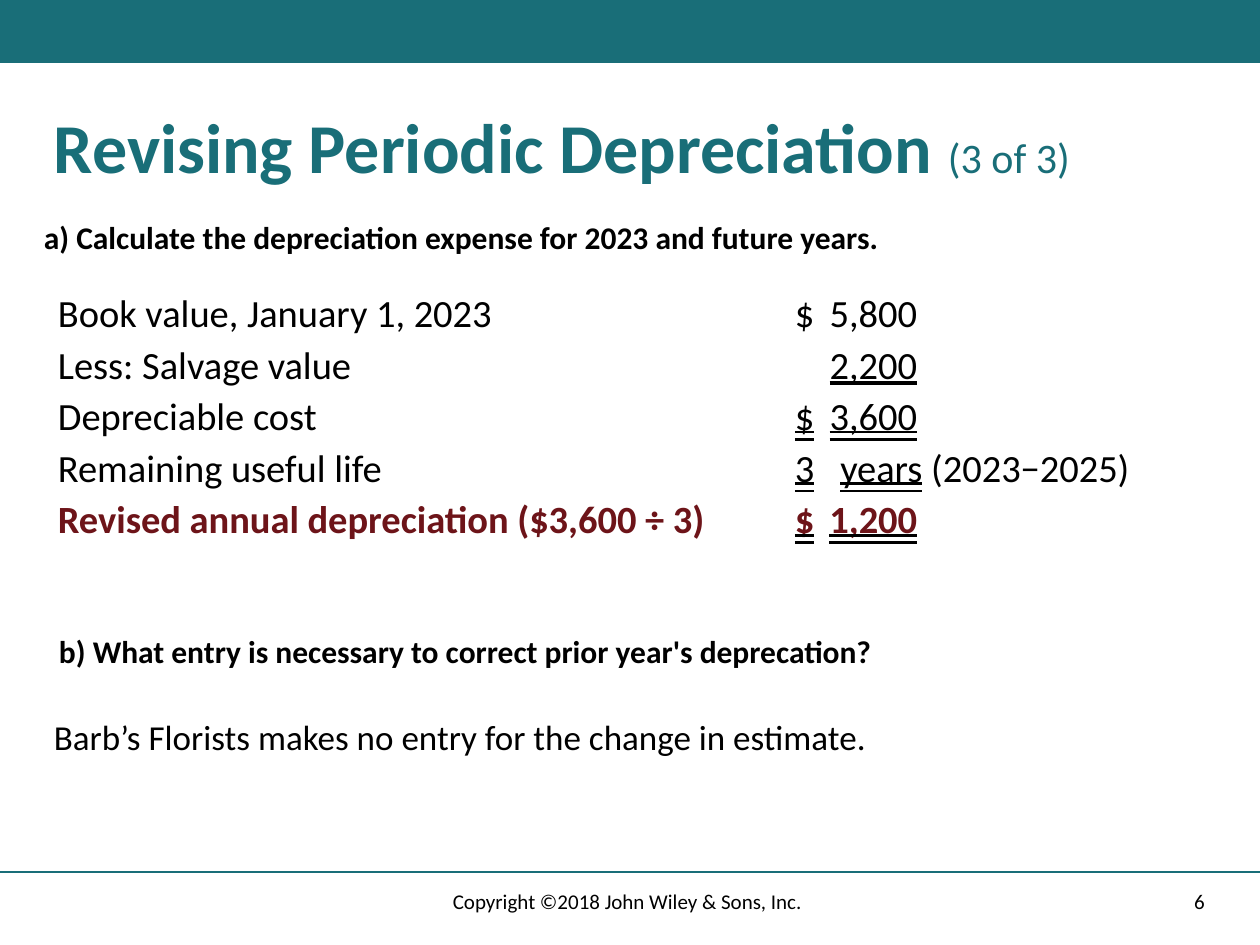
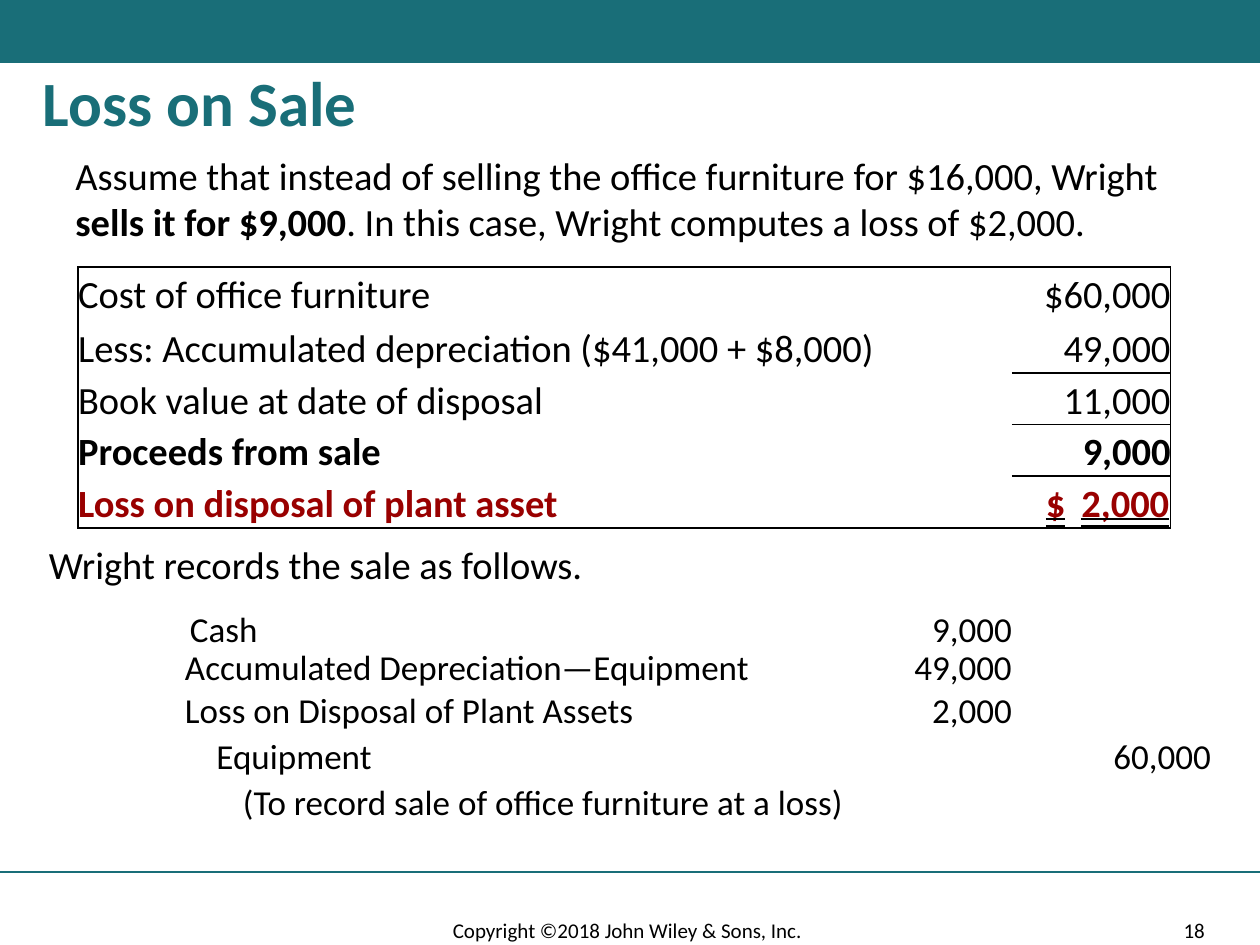
from lxml import etree
from pptx import Presentation
from pptx import util as u
from pptx.dml.color import RGBColor
from pptx.enum import shapes, text
from pptx.oxml import ns

Inches, Pt = u.Inches, u.Pt
LEFT, CENTER, RIGHT = text.PP_ALIGN.LEFT, text.PP_ALIGN.CENTER, text.PP_ALIGN.RIGHT
TOP, MIDDLE = text.MSO_ANCHOR.TOP, text.MSO_ANCHOR.MIDDLE
SINGLE, DOUBLE = text.MSO_UNDERLINE.SINGLE_LINE, text.MSO_UNDERLINE.DOUBLE_LINE

# ---- Shared look ----
COLORS = {"teal": "196E78", "black": "000000", "wine": "6D1419", "red": "990000"}
FONT = "Calibri"
COPYRIGHT = "Copyright ©2018 John Wiley & Sons, Inc."
NO_STYLE = "{2D5ABB26-0587-4C30-8999-92F81FD0307C}"
WINE = {"color": "wine", "bold": True}
RED = {"color": "red", "bold": True}
BOLD = {"bold": True}

# ---- Content: revised depreciation ----
REVISING_TITLE = [("Revising Periodic Depreciation ", BOLD), ("(3 of 3)", {"size": 24})]
QUESTIONS = [
    ("a) Calculate the depreciation expense for 2023 and future years.", 0.25, 1.68),
    ("b) What entry is necessary to correct prior year's deprecation?", 0.37, 4.97),
]
NO_ENTRY = "Barb’s Florists makes no entry for the change in estimate."
MONEY_TABS = [(0.97, "r")]
LIFE_TABS = [(0.07, "l"), (0.43, "l")]
# label, label style, amount runs, amount indent, tab stops
DEPRECIATION = [
    ("Book value, January 1, 2023", {}, [("$\t5,800", {})], 0.63, MONEY_TABS),
    ("Less: Salvage value", {}, [("\t2,200", {"line": SINGLE})], 0.63, MONEY_TABS),
    ("Depreciable cost", {}, [("$\t3,600", {"line": DOUBLE})], 0.63, MONEY_TABS),
    ("Remaining useful life", {},
     [("\t3\tyears", {"line": DOUBLE}), (" (2023−2025)", {})], 0.56, LIFE_TABS),
    ("Revised annual depreciation ($3,600 ÷ 3)", WINE,
     [("$\t1,200", {**WINE, "line": DOUBLE})], 0.63, MONEY_TABS),
]

# ---- Content: loss on sale ----
LOSS_TITLE = [("Loss on Sale", BOLD)]
ASSUMPTION = [
    ("Assume that instead of selling the office furniture for $16,000, Wright ", {}),
    ("sells it for $9,000", BOLD),
    (". In this case, Wright computes a loss of $2,000.", {}),
]
# label, amount, style
DISPOSAL = [
    ("Cost of office furniture", "$60,000", {}),
    ("Less: Accumulated depreciation ($41,000 + $8,000)", "49,000", {}),
    ("Book value at date of disposal", "11,000", {}),
    ("Proceeds from sale", "9,000", BOLD),
    ("Loss on disposal of plant asset", "\t$\t2,000", RED),
]
LOSS_TABS = [(0.21, "l"), (1.19, "r")]
RECORDS = "Wright records the sale as follows."
DEBIT_EDGE, CREDIT_EDGE = 8.13, 9.71
# account, left, top, amount, right edge of the amount
JOURNAL = [
    ("Cash", 1.41, 4.81, "9,000", DEBIT_EDGE),
    ("Accumulated Depreciation—Equipment", 1.37, 5.11, "49,000", DEBIT_EDGE),
    ("Loss on Disposal of Plant Assets", 1.37, 5.45, "2,000", DEBIT_EDGE),
    ("Equipment", 1.62, 5.82, "60,000", CREDIT_EDGE),
    ("(To record sale of office furniture at a loss)", 1.83, 6.18, None, None),
]


# ---- Text ----
def rgb(name):
    return RGBColor.from_string(COLORS[name])


def add_solid(parent, name):
    fill = etree.SubElement(parent, ns.qn("a:solidFill"))
    etree.SubElement(fill, ns.qn("a:srgbClr"), val=COLORS[name])


def write(para, runs, size, color="black", align=LEFT, tabs=()):
    para.alignment = align
    if tabs:
        stops = etree.SubElement(para._p.get_or_add_pPr(), ns.qn("a:tabLst"))
        for position, side in tabs:
            etree.SubElement(stops, ns.qn("a:tab"), pos=str(Inches(position)), algn=side)
    for words, style in runs:
        span = para.add_run()
        span.text = words
        font = span.font
        font.name = FONT
        font.size = Pt(style.get("size", size))
        font.bold = style.get("bold", False)
        font.color.rgb = rgb(style.get("color", color))
        if "line" in style:
            font.underline = style["line"]
            # Rules under the figures stay black
            line_fill = etree.Element(ns.qn("a:uFill"))
            add_solid(line_fill, "black")
            span._r.rPr.find(ns.qn("a:latin")).addprevious(line_fill)


def add_text(page, area, runs, size, color="black", align=LEFT, anchor=TOP, spacing=None):
    box = page.shapes.add_textbox(*map(Inches, area))
    frame = box.text_frame
    frame.word_wrap = True
    frame.vertical_anchor = anchor
    para = frame.paragraphs[0]
    if spacing:
        para.line_spacing = spacing
    write(para, runs, size, color, align)


def add_body(page, area, words, size=20, align=LEFT):
    add_text(page, area, [(words, {})], size, align=align, spacing=0.9)


# ---- Tables ----
def add_grid(page, left, top, widths, heights):
    frame = page.shapes.add_table(len(heights), len(widths), Inches(left), Inches(top),
                                  Inches(sum(widths)), Inches(sum(heights)))
    table = frame.table
    table.first_row = table.horz_banding = False
    table._tbl.tblPr.find(ns.qn("a:tableStyleId")).text = NO_STYLE
    for column, width in zip(table.columns, widths):
        column.width = Inches(width)
    for row, height in zip(table.rows, heights):
        row.height = Inches(height)
    return table


def fill_cell(cell, runs, align=LEFT, indent=0, right=0, tabs=(), sides=""):
    cell.margin_left, cell.margin_right = Inches(indent), Inches(right)
    cell.margin_top = cell.margin_bottom = 0
    cell.vertical_anchor = text.MSO_ANCHOR.BOTTOM
    write(cell.text_frame.paragraphs[0], runs, 22, align=align, tabs=tabs)
    properties = cell._tc.get_or_add_tcPr()
    for side in "LRTB":
        if side in sides:
            border = etree.SubElement(properties, ns.qn("a:ln" + side), w=str(Pt(1)))
            add_solid(border, "black")
    cell.fill.background()


# ---- Parts on every slide ----
def add_page(deck, title, title_area, title_size, number, footer_top):
    page = deck.slides.add_slide(deck.slide_layouts[6])
    band = page.shapes.add_shape(shapes.MSO_SHAPE.RECTANGLE, 0, 0, deck.slide_width, Inches(0.5))
    band.shadow.inherit = False
    band.fill.solid()
    band.fill.fore_color.rgb = rgb("teal")
    band.line.fill.background()
    rule = page.shapes.add_connector(shapes.MSO_CONNECTOR.STRAIGHT, 0, Inches(6.92),
                                     deck.slide_width, Inches(6.92))
    rule.line.color.rgb = rgb("teal")
    rule.line.width = Pt(1)
    etree.SubElement(rule._element.spPr, ns.qn("a:effectLst"))
    add_text(page, title_area, title, title_size, "teal", anchor=MIDDLE, spacing=0.9)
    add_text(page, (3.28, footer_top, 3.4, 0.4), [(COPYRIGHT, {})], 12,
             align=CENTER, anchor=MIDDLE)
    add_text(page, (7.05, footer_top, 2.61, 0.4), [(number, {})], 12,
             align=RIGHT, anchor=MIDDLE)
    return page


# ---- Slides ----
def build_revising(deck):
    page = add_page(deck, REVISING_TITLE, (0.33, 0.83, 9.33, 0.73), 40, "6", 6.95)
    table = add_grid(page, 0.46, 1.83, [5.22, 3.48], [0.85] + [0.41] * 4)
    for row, (label, style, amount, indent, tabs) in enumerate(DEPRECIATION):
        fill_cell(table.cell(row, 0), [(label, style)])
        fill_cell(table.cell(row, 1), amount, indent=indent, tabs=tabs)
    for question, left, top in QUESTIONS:
        add_text(page, (left, top, 9, 0.4), [(question, BOLD)], 18)
    add_body(page, (0.33, 5.67, 9.33, 0.4), NO_ENTRY)


def build_loss(deck):
    page = add_page(deck, LOSS_TITLE, (0.24, 0.53, 9.43, 0.63), 36, "18", 7.18)
    add_text(page, (0.5, 1.16, 9.09, 0.84), ASSUMPTION, 22)
    table = add_grid(page, 0.62, 2.12, [7.41, 1.26], [0.41, 0.43] + [0.41] * 3)
    last = len(DISPOSAL) - 1
    for row, (label, amount, style) in enumerate(DISPOSAL):
        outer = ("T" if row == 0 else "") + ("B" if row == last else "")
        fill_cell(table.cell(row, 0), [(label, style)], right=0.2, sides="L" + outer)
        cell = table.cell(row, 1)
        if row == last:
            fill_cell(cell, [(amount, {**style, "line": DOUBLE})], indent=0.06,
                      tabs=LOSS_TABS, sides="R" + outer)
        else:
            fill_cell(cell, [(amount, style)], RIGHT, sides="R" + (outer or "B"))

    # Journal entry
    add_body(page, (0.29, 4.29, 6, 0.4), RECORDS, 22)
    for account, left, top, amount, edge in JOURNAL:
        add_body(page, (left, top, 5.1, 0.4), account)
        if amount:
            add_body(page, (edge - 1.2, top, 1.2, 0.4), amount, align=RIGHT)


def main():
    deck = Presentation()
    deck.slide_width, deck.slide_height = Inches(10), Inches(7.5)
    build_revising(deck)
    build_loss(deck)
    deck.save("out.pptx")


if __name__ == "__main__":
    main()
